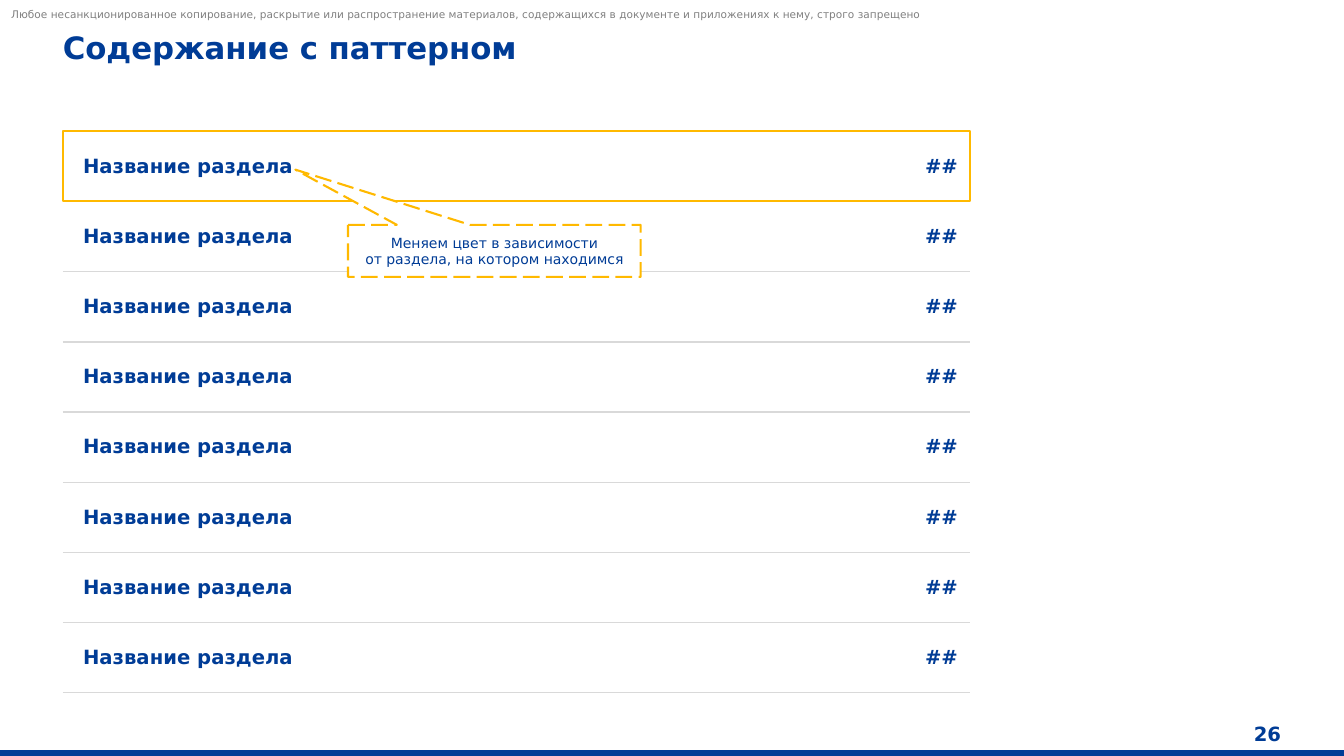
from lxml.etree import SubElement
from pptx import Presentation
from pptx.dml.color import RGBColor
from pptx.enum.dml import MSO_LINE
from pptx.enum.shapes import MSO_SHAPE
from pptx.enum.text import MSO_ANCHOR, PP_ALIGN
from pptx.oxml.ns import qn
from pptx.util import Pt

BLUE = RGBColor(0x00, 0x3C, 0x96)
YELLOW = RGBColor(0xFF, 0xB9, 0x00)
GREY = RGBColor(0x80, 0x80, 0x80)
RULE = RGBColor(0xD9, 0xD9, 0xD9)
WHITE = RGBColor(0xFF, 0xFF, 0xFF)

FONT = "DejaVu Sans"
SECTIONS = [("Название раздела", "##")] * 8
LEFT, ROW_HEIGHT = 44.9, 50.1


class SlideBuilder:
    def __init__(self, page):
        self.page = page

    def fill_text(self, frame, lines, size, color=BLUE, bold=False,
                  align=PP_ALIGN.LEFT):
        """Fill a text frame with one paragraph per line."""
        style = {"name": FONT, "size": Pt(size), "bold": bold}
        for index, line in enumerate(lines):
            para = frame.add_paragraph() if index else frame.paragraphs[0]
            para.alignment = align
            span = para.add_run()
            span.text = line
            for key, value in style.items():
                setattr(span.font, key, value)
            span.font.color.rgb = color

    def set_margins(self, target, left, top, right, bottom):
        margins = {"margin_left": left, "margin_top": top,
                   "margin_right": right, "margin_bottom": bottom}
        for key, value in margins.items():
            setattr(target, key, Pt(value))

    def text(self, place, line, size, anchor=MSO_ANCHOR.TOP, **style):
        box = self.page.shapes.add_textbox(*map(Pt, place))
        frame = box.text_frame
        frame.word_wrap = True
        frame.vertical_anchor = anchor
        self.set_margins(frame, 0, 0, 0, 0)
        self.fill_text(frame, [line], size, **style)

    def shape(self, kind, place, line_color, width, fill=None):
        box = self.page.shapes.add_shape(kind, *map(Pt, place))
        box.shadow.inherit = False
        if fill is None:
            box.fill.background()
        else:
            box.fill.solid()
            box.fill.fore_color.rgb = fill
        box.line.color.rgb = line_color
        box.line.width = Pt(width)
        return box

    def set_borders(self, cell):
        """Grey rules above and below, nothing at the sides."""
        properties = cell._tc.get_or_add_tcPr()
        for side in ("lnL", "lnR"):
            SubElement(SubElement(properties, qn(f"a:{side}")), qn("a:noFill"))
        for side in ("lnT", "lnB"):
            edge = SubElement(properties, qn(f"a:{side}"), w=str(Pt(1)))
            fill = SubElement(edge, qn("a:solidFill"))
            SubElement(fill, qn("a:srgbClr"), val=str(RULE))

    def contents(self, left, top, widths, row_height, rows):
        holder = self.page.shapes.add_table(
            len(rows), len(widths), Pt(left), Pt(top),
            Pt(sum(widths)), Pt(row_height * len(rows)))
        table = holder.table
        table.first_row = table.horz_banding = False
        for column, width in zip(table.columns, widths):
            column.width = Pt(width)
        formats = [((14.4, 3.6, 7.2, 3.6), PP_ALIGN.LEFT),
                   ((7.2, 3.6, 8.64, 3.6), PP_ALIGN.RIGHT)]
        for row, values in zip(table.rows, rows):
            row.height = Pt(row_height)
            for cell, value, (margins, align) in zip(row.cells, values, formats):
                self.set_borders(cell)
                cell.fill.background()
                cell.vertical_anchor = MSO_ANCHOR.MIDDLE
                self.set_margins(cell, *margins)
                self.fill_text(cell.text_frame, [value], 14, bold=True,
                               align=align)

    def callout(self, place, lines, tip):
        box = self.shape(MSO_SHAPE.RECTANGULAR_CALLOUT, place, YELLOW, 1.5, WHITE)
        box.line.dash_style = MSO_LINE.LONG_DASH
        box.adjustments[0], box.adjustments[1] = tip
        frame = box.text_frame
        frame.word_wrap = True
        frame.vertical_anchor = MSO_ANCHOR.MIDDLE
        self.set_margins(frame, 2.88, 3.6, 2.88, 3.6)
        self.fill_text(frame, lines, 10, align=PP_ALIGN.CENTER)


def main():
    deck = Presentation()
    deck.slide_width, deck.slide_height = Pt(960), Pt(540)
    slide = SlideBuilder(deck.slides.add_slide(deck.slide_layouts[6]))

    # Footer bar, confidentiality notice and title
    slide.shape(MSO_SHAPE.RECTANGLE, (0, 536.4, 960, 3.6), BLUE, 1, BLUE)
    slide.text((7.9, 5, 826.6, 9.4),
               "Любое несанкционированное копирование, раскрытие или "
               "распространение материалов, содержащихся в документе и "
               "приложениях к нему, строго запрещено",
               7.5, MSO_ANCHOR.BOTTOM, color=GREY)
    slide.text((LEFT, 20.2, 787.7, 26.6), "Содержание с паттерном", 22, bold=True)

    # Contents table with the current section framed
    slide.contents(LEFT, 94, (584, 64), ROW_HEIGHT, SECTIONS)
    slide.shape(MSO_SHAPE.RECTANGLE, (LEFT, 93.6, 647.8, ROW_HEIGHT), YELLOW, 1.5)

    # Hint and page number
    slide.callout((248.6, 160.6, 209, 37.2),
                  ["Меняем цвет в зависимости",
                   "от раздела, на котором находимся"], (-0.68, -1.56))
    slide.text((874.1, 515.5, 41, 17.3), "26", 14, MSO_ANCHOR.MIDDLE,
               bold=True, align=PP_ALIGN.RIGHT)

    deck.save("out.pptx")


if __name__ == "__main__":
    main()
